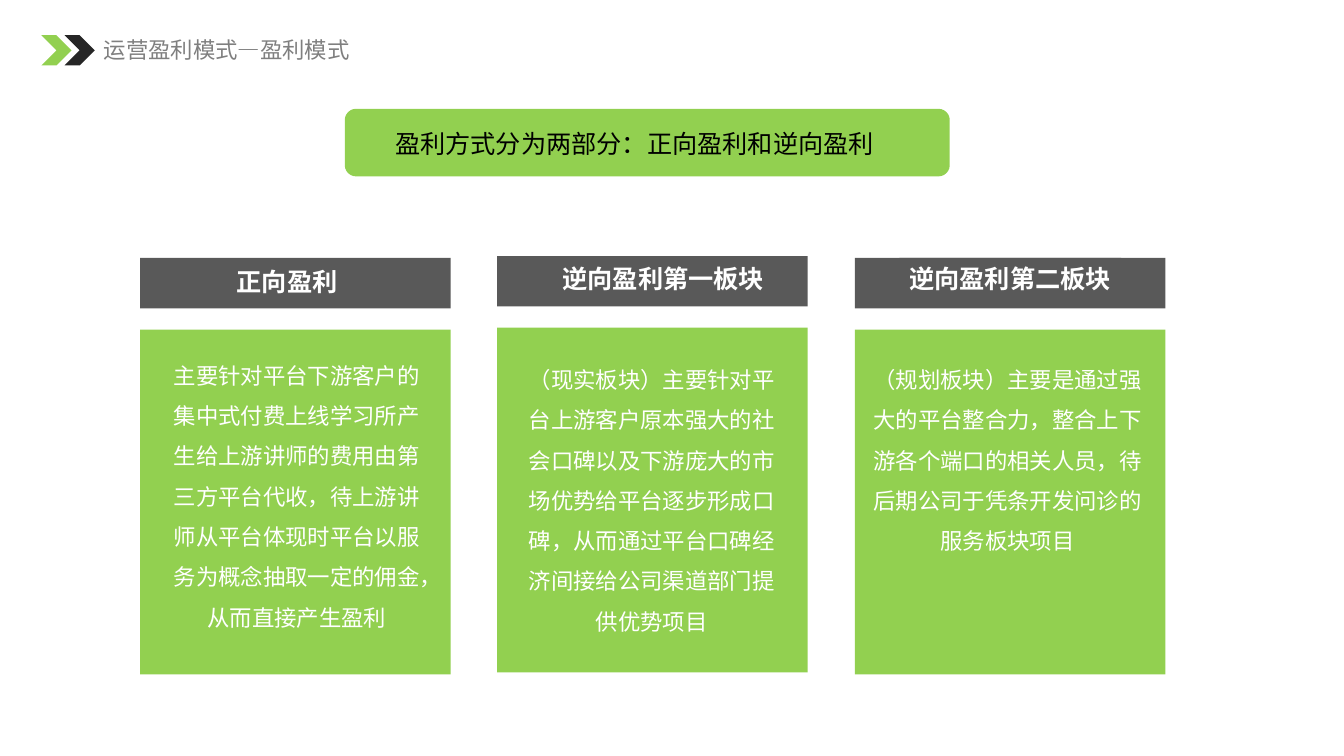
from dataclasses import dataclass

from lxml import etree
from pptx import Presentation
from pptx.dml.color import RGBColor
from pptx.enum.shapes import MSO_SHAPE as SHAPE
from pptx.enum.text import MSO_ANCHOR as ANCHOR, MSO_AUTO_SIZE as FIT, PP_ALIGN as ALIGN
from pptx.oxml.ns import qn
from pptx.util import Inches, Pt


@dataclass(frozen=True)
class Theme:
    green: str = "92D050"
    dark: str = "262626"
    gray: str = "595959"
    title: str = "7F7F7F"
    black: str = "000000"
    white: str = "FFFFFF"
    font: str = "Noto Sans CJK TC"
    title_font: str = "Noto Sans CJK SC"
    heading_size: int = 18
    body_size: int = 16


theme = Theme()
prs = Presentation()
prs.slide_width, prs.slide_height = Inches(13.33), Inches(7.5)
s = prs.slides.add_slide(prs.slide_layouts[6])


def add_block(kind, box, color):
    sp = s.shapes.add_shape(kind, *map(Inches, box))
    sp.shadow.inherit = False
    sp.fill.solid()
    sp.fill.fore_color.rgb = RGBColor.from_string(color)
    sp.line.fill.background()
    return sp


def write(sp, text, color, size, font=theme.font, bold=False, wrap=False, **para):
    tf = sp.text_frame
    tf.word_wrap, tf.auto_size = wrap, FIT.SHAPE_TO_FIT_TEXT
    tf.vertical_anchor = ANCHOR.TOP
    p = tf.paragraphs[0]
    for name, value in {"alignment": ALIGN.LEFT, **para}.items():
        setattr(p, name, value)
    r = p.add_run()
    r.text = text
    for name, value in {"size": Pt(size), "name": font, "bold": bold}.items():
        setattr(r.font, name, value)
    r.font.color.rgb = RGBColor.from_string(color)
    # East Asian typeface
    etree.SubElement(r.font._element, qn("a:ea")).set("typeface", font)


# Page title with double chevron
for left, color in ((0.41, theme.green), (0.64, theme.dark)):
    add_block(SHAPE.CHEVRON, (left, 0.35, 0.3, 0.3), color)
title = s.shapes.add_textbox(*map(Inches, (1.03, 0.35, 2.46, 0.33)))
for side, inset in {"left": 0, "top": 0, "right": 0, "bottom": 0.05}.items():
    setattr(title.text_frame, f"margin_{side}", Inches(inset))
write(title, "运营盈利模式—盈利模式", theme.title, theme.body_size,
      theme.title_font, line_spacing=Pt(20))

# Summary banner
add_block(SHAPE.ROUNDED_RECTANGLE, (3.42, 1.08, 6, 0.67), theme.green)
summary = s.shapes.add_textbox(*map(Inches, (3.82, 1.22, 4.95, 0.4)))
write(summary, "盈利方式分为两部分：正向盈利和逆向盈利", theme.black, theme.heading_size)

# Three columns: left, top, heading, heading box, body, body box
columns = (
    (1.39, 2.56, "正向盈利", (2.25, 2.59, 1.2, 0.4),
     "主要针对平台下游客户的集中式付费上线学习所产生给上游讲师的费用由第三方平台代收，"
     "待上游讲师从平台体现时平台以服务为概念抽取一定的佣金，从而直接产生盈利",
     (1.56, 3.41, 2.77, 2.93)),
    (4.93, 2.54, "逆向盈利第一板块", (5.48, 2.56, 2.2, 0.4),
     "（现实板块）主要针对平台上游客户原本强大的社会口碑以及下游庞大的市场优势"
     "给平台逐步形成口碑，从而通过平台口碑经济间接给公司渠道部门提供优势项目",
     (5.06, 3.45, 2.81, 2.93)),
    (8.48, 2.56, "逆向盈利第二板块", (8.92, 2.56, 2.2, 0.4),
     "（规划板块）主要是通过强大的平台整合力，整合上下游各个端口的相关人员，"
     "待后期公司于凭条开发问诊的服务板块项目",
     (8.51, 3.45, 2.97, 2.12)),
)
for left, top, heading, heading_box, body, body_box in columns:
    add_block(SHAPE.RECTANGLE, (left, top + 0.71, 3.08, 3.42), theme.green)
    add_block(SHAPE.RECTANGLE, (left, top, 3.08, 0.5), theme.gray)
    write(add_block(SHAPE.RECTANGLE, heading_box, theme.gray), heading,
          theme.white, theme.heading_size, bold=True)
    write(add_block(SHAPE.RECTANGLE, body_box, theme.green), body,
          theme.white, theme.body_size, wrap=True,
          alignment=ALIGN.CENTER, line_spacing=1.5)

prs.save("out.pptx")
